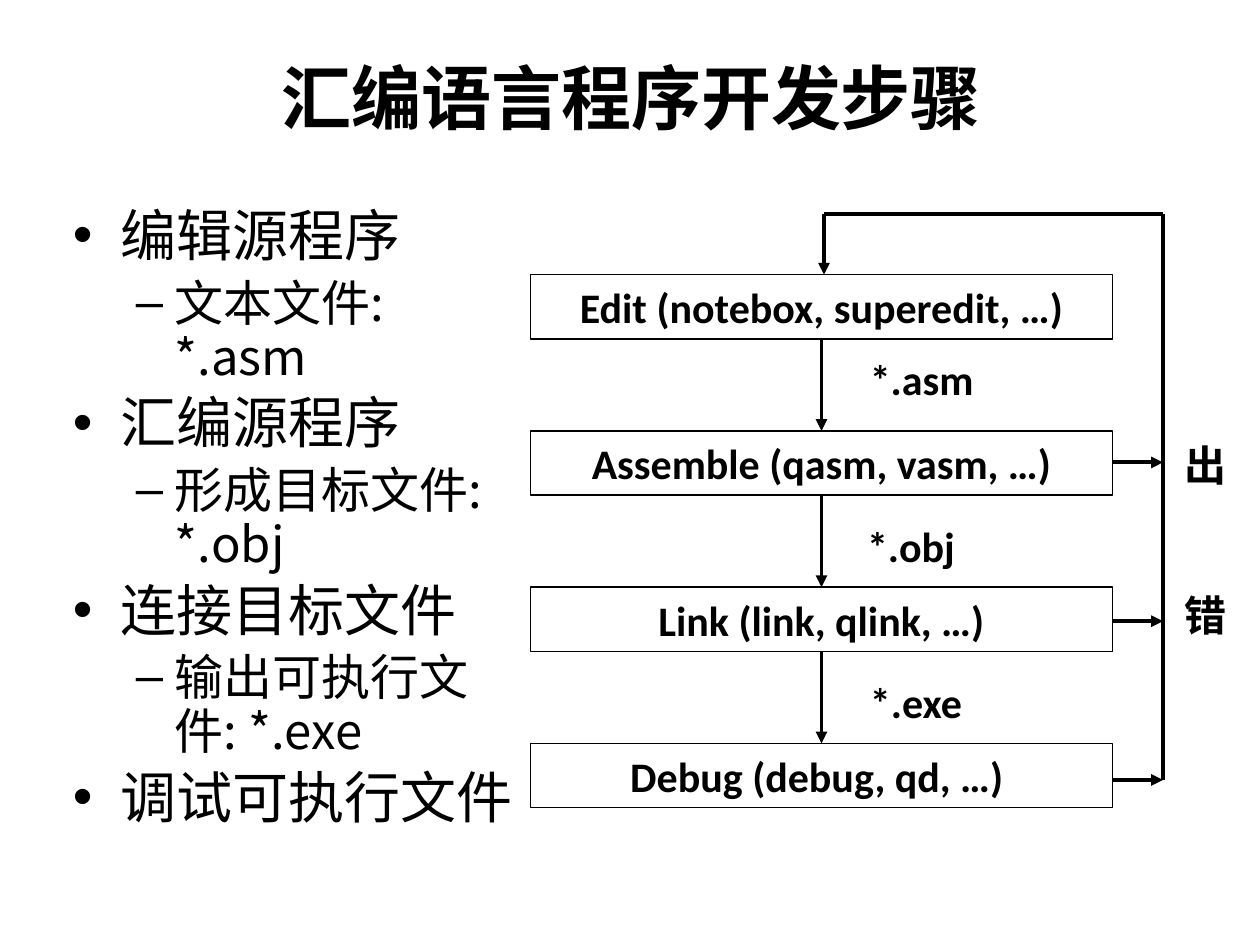
from pptx import Presentation
from pptx.dml.color import RGBColor
from pptx.enum.shapes import MSO_CONNECTOR, MSO_SHAPE
from pptx.enum.text import MSO_ANCHOR, PP_ALIGN
from pptx.oxml.ns import qn
from pptx.util import Inches, Pt
from lxml.etree import SubElement

BLACK = "000000"
LATIN, CJK = "Calibri", "Noto Sans CJK SC"

STEPS = [
    ("编辑源程序", "文本文件: *.asm"),
    ("汇编源程序", "形成目标文件: *.obj"),
    ("连接目标文件", "输出可执行文件: *.exe"),
    ("调试可执行文件", None),
]
STAGES = [
    "Edit (notebox, superedit, …)",
    "Assemble (qasm, vasm, …)",
    "Link (link, qlink, …)",
    "Debug (debug, qd, …) ",
]
# text, left, top, width
PRODUCTS = [
    ("*.asm", 6.77, 2.76, 1.09),
    ("*.obj", 6.77, 4.08, 0.92),
    ("*.exe", 6.78, 5.32, 0.98),
]


def color(hex_text):
    """Turn a hex string into a colour."""
    return RGBColor.from_string(hex_text)


def add_run(paragraph, text, size, font=LATIN, bold=True):
    """Add one formatted run to a paragraph."""
    run = paragraph.add_run()
    run.text = text
    run.font.size = Pt(size)
    run.font.name = font
    run.font.bold = bold
    run.font.color.rgb = color(BLACK)
    if font == CJK:
        SubElement(run.font._element, qn("a:ea"), typeface=font)


def add_text_box(slide, left, top, width, height, wrap=True):
    """Add an empty text box and return its frame."""
    box = slide.shapes.add_textbox(Inches(left), Inches(top), Inches(width), Inches(height))
    box.text_frame.word_wrap = wrap
    return box.text_frame


def add_line(slide, start, end, arrow=True):
    """Draw a thick line, with an arrowhead at its end if wanted."""
    line = slide.shapes.add_connector(
        MSO_CONNECTOR.STRAIGHT, *(Inches(value) for value in (*start, *end)))
    line.line.color.rgb = color(BLACK)
    line.line.width = Pt(2.25)
    if arrow:
        SubElement(line.line._get_or_add_ln(), qn("a:tailEnd"), type="triangle")
    SubElement(line._element.spPr, qn("a:effectLst"))


def add_title(slide, left, top, width, height):
    """Place the centred heading."""
    frame = add_text_box(slide, left, top, width, height)
    frame.vertical_anchor = MSO_ANCHOR.MIDDLE
    heading = frame.paragraphs[0]
    heading.alignment = PP_ALIGN.CENTER
    add_run(heading, "汇编语言程序开发步骤", 40)


def add_steps(slide, left, top, width, height):
    """Place the two-level list of development steps."""
    frame = add_text_box(slide, left, top, width, height)
    frame.margin_top = Inches(0.08)
    # level, size, line pitch, indent, hanging, bullet
    styles = [(0, 32, 35, 0.38, 0.38, "•"), (1, 28, 31, 0.81, 0.31, "–")]
    lines = [(text, style) for step in STEPS for text, style in zip(step, styles) if text]
    for index, (text, (level, size, pitch, indent, hanging, bullet)) in enumerate(lines):
        item = frame.add_paragraph() if index else frame.paragraphs[0]
        item.level = level
        item.line_spacing = Pt(pitch)
        item.space_before = Pt(5 if index else 0)
        properties = item._p.get_or_add_pPr()
        properties.set("marL", str(Inches(indent)))
        properties.set("indent", str(-Inches(hanging)))
        SubElement(properties, qn("a:buFont"), typeface="Arial")
        SubElement(properties, qn("a:buChar"), char=bullet)
        add_run(item, text, size, CJK, False)


def add_stage(slide, text, left, top, width, height):
    """Draw one boxed stage of the flow."""
    stage = slide.shapes.add_shape(
        MSO_SHAPE.RECTANGLE, Inches(left), Inches(top), Inches(width), Inches(height))
    stage.shadow.inherit = False
    stage.fill.background()
    stage.line.color.rgb = color(BLACK)
    stage.line.width = Pt(0.75)
    frame = stage.text_frame
    frame.margin_left = frame.margin_right = 0
    frame.vertical_anchor = MSO_ANCHOR.MIDDLE
    frame.paragraphs[0].alignment = PP_ALIGN.CENTER
    add_run(frame.paragraphs[0], text, 24)


def add_flow(slide, left, top, width):
    """Draw the stages, the files between them and the error loop."""
    height, pitch = 0.51, 1.24
    right, middle = left + width, left + width / 2
    rail, loop_top, entry = right + 0.4, top - 0.48, middle + 0.02
    for index, text in enumerate(STAGES):
        stage_top = top + index * pitch
        add_stage(slide, text, left, stage_top, width, height)
        if index:
            add_line(slide, (middle, stage_top - pitch + height), (middle, stage_top))
            exit_y = top + 1.49 + (index - 1) * 1.26
            add_line(slide, (right, exit_y), (rail, exit_y))
    add_line(slide, (rail, exit_y), (rail, loop_top), arrow=False)
    add_line(slide, (rail, loop_top), (entry, loop_top), arrow=False)
    add_line(slide, (entry, loop_top), (entry, top))
    for text, label_left, label_top, label_width in PRODUCTS:
        label = add_text_box(slide, label_left, label_top, label_width, 0.5, wrap=False)
        label.paragraphs[0].alignment = PP_ALIGN.CENTER
        add_run(label.paragraphs[0], text, 24)


def add_error_label(slide, left, top, width, height):
    """Place the two spaced characters beside the error loop."""
    frame = add_text_box(slide, left, top, width, height)
    add_run(frame.paragraphs[0], "出", 24)
    lower = frame.add_paragraph()
    lower.space_before = Pt(57)
    add_run(lower, "错", 24)


def build():
    """Build and save the slide."""
    deck = Presentation()
    deck.slide_width, deck.slide_height = Inches(10), Inches(7.5)
    slide = deck.slides.add_slide(deck.slide_layouts[6])
    add_title(slide, 0.51, 0.28, 9, 0.97)
    add_steps(slide, 0.48, 1.56, 3.71, 5.42)
    add_flow(slide, 4.21, 2.18, 4.62)
    add_error_label(slide, 9.3, 3.44, 0.53, 1.7)
    deck.save("out.pptx")


build()
